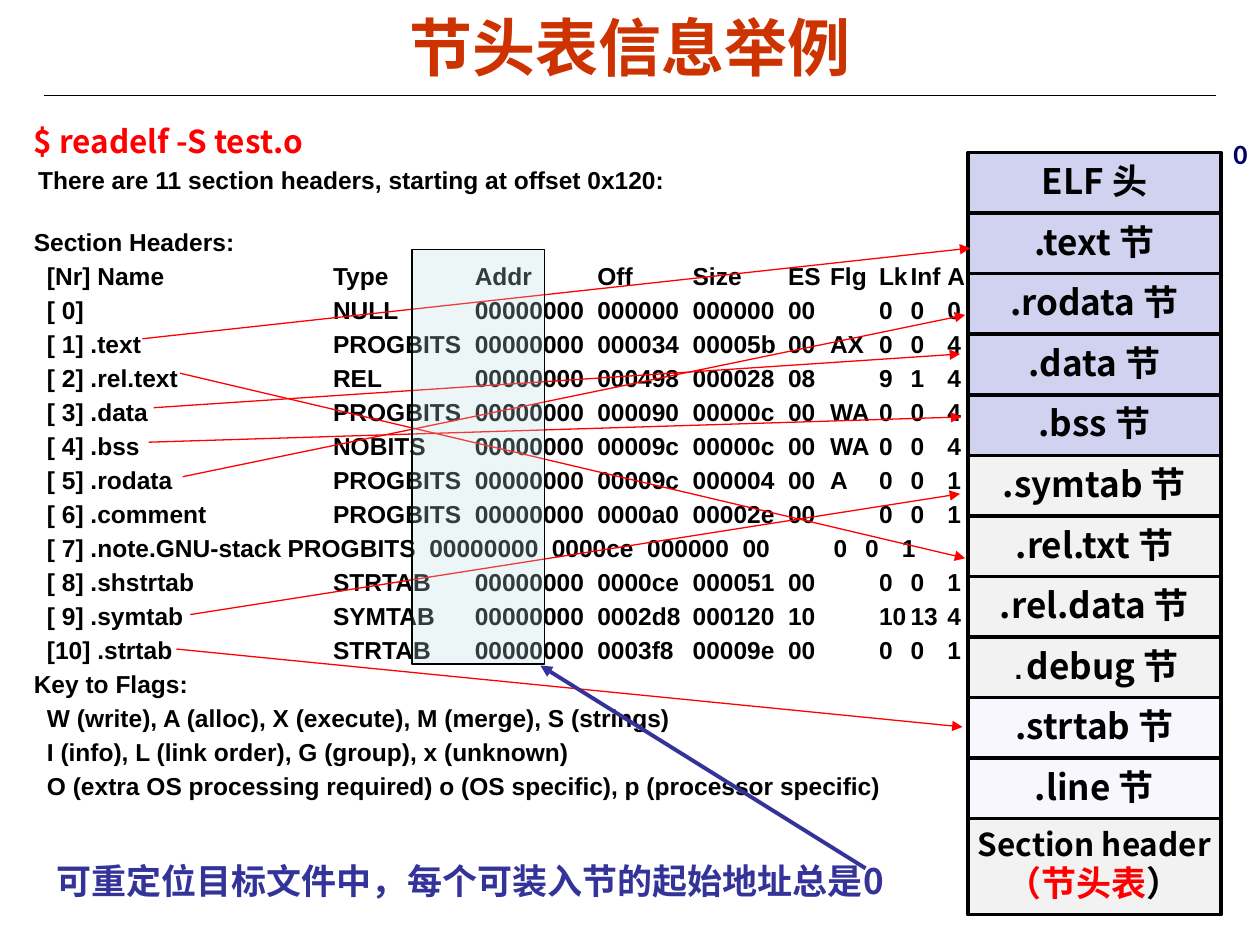
from dataclasses import dataclass

from lxml import etree
from pptx import Presentation
from pptx.dml.color import RGBColor
from pptx.enum import shapes, text
from pptx.oxml import ns
from pptx.util import Pt


@dataclass(frozen=True)
class Theme:
    """Colours, fonts and type sizes of the slide."""
    black: str = "000000"
    title: str = "CC3300"
    red: str = "FF0000"
    blue: str = "333399"
    navy: str = "000066"
    loaded: str = "D1D1F0"
    plain: str = "F2F2F2"
    pale: str = "D6D6F5"
    highlight: str = "BBE0E3"
    sans: str = "Arial"
    cjk: str = "Noto Sans CJK SC"
    mono: str = "Courier New"
    digit: str = "Calibri"
    heading: int = 36
    large: int = 20
    command: int = 18
    small: int = 16
    body: int = 14


@dataclass(frozen=True)
class Box:
    """A rectangle in points."""
    left: float
    top: float
    width: float
    height: float

    def lengths(self):
        """Return the four lengths for python-pptx."""
        return Pt(self.left), Pt(self.top), Pt(self.width), Pt(self.height)


THEME = Theme()
COLUMN_STOPS = (7.5, 171, 252, 322, 376.5, 431, 455, 483, 501, 522)
LONG_NAME_SHIFT = -26
SECTION_ROWS = (
    "[Nr] Name|Type|Addr|Off|Size|ES|Flg|Lk|Inf|Al",
    "[ 0]|NULL|00000000|000000|000000|00||0|0|0",
    "[ 1] .text|PROGBITS|00000000|000034|00005b|00|AX|0|0|4",
    "[ 2] .rel.text|REL|00000000|000498|000028|08||9|1|4",
    "[ 3] .data|PROGBITS|00000000|000090|00000c|00|WA|0|0|4",
    "[ 4] .bss|NOBITS|00000000|00009c|00000c|00|WA|0|0|4",
    "[ 5] .rodata|PROGBITS|00000000|00009c|000004|00|A|0|0|1",
    "[ 6] .comment|PROGBITS|00000000|0000a0|00002e|00||0|0|1",
    "[ 7] .note.GNU-stack|PROGBITS|00000000|0000ce|000000|00||0|0|1",
    "[ 8] .shstrtab|STRTAB|00000000|0000ce|000051|00||0|0|1",
    "[ 9] .symtab|SYMTAB|00000000|0002d8|000120|10||10|13|4",
    "[10] .strtab|STRTAB|00000000|0003f8|00009e|00||0|0|1",
)
FLAG_KEYS = (
    "W (write), A (alloc), X (execute), M (merge), S (strings)",
    "I (info), L (link order), G (group), x (unknown)",
    "O (extra OS processing required) o (OS specific), p (processor specific)",
)
LOADED = ("ELF 头", ".text 节", ".rodata 节", ".data 节", ".bss 节")
UNLOADED = (".symtab 节", ".rel.txt 节", ".rel.data 节", ".debug 节")
TRAILING = (".strtab 节", ".line 节")
SECTION_ARROWS = (
    (1, 69.1, 542.2, 74.1), (2, 90.7, 539.3, 251.3), (3, 75.6, 536.4, 134.6),
    (4, 72.7, 537.1, 170.6), (5, 92.2, 539.3, 112.3), (9, 96.5, 536.4, 214.5),
    (10, 88.6, 537.8, 347.7),
)


def assign(target, values):
    """Set each attribute named in a dict."""
    for name, value in values.items():
        setattr(target, name, value)


def add_run(paragraph, wording, size, color, font=THEME.cjk):
    """Append a bold run in one font for all scripts."""
    run = paragraph.add_run()
    run.text = wording
    assign(run.font, {"size": Pt(size), "bold": True, "name": font})
    run.font.color.rgb = RGBColor.from_string(color)
    east_asian = etree.SubElement(run._r.get_or_add_rPr(), ns.qn("a:ea"))
    east_asian.set("typeface", THEME.cjk)


def add_text_box(slide, box, wrap=True):
    """Add an empty text box and return its frame."""
    frame = slide.shapes.add_textbox(*box.lengths()).text_frame
    frame.word_wrap = wrap
    return frame


def add_rectangle(slide, box, fill, line_width, opacity=100):
    """Add a black-edged rectangle, translucent when asked."""
    shape = slide.shapes.add_shape(shapes.MSO_SHAPE.RECTANGLE, *box.lengths())
    shape.shadow.inherit = False
    shape.fill.solid()
    shape.fill.fore_color.rgb = RGBColor.from_string(fill)
    shape.line.color.rgb = RGBColor.from_string(THEME.black)
    shape.line.width = Pt(line_width)
    if opacity < 100:
        color = shape._element.spPr.find(".//" + ns.qn("a:srgbClr"))
        etree.SubElement(color, ns.qn("a:alpha")).set("val", str(opacity * 1000))
    return shape


def add_line(slide, start, end, color, width, arrow=True):
    """Draw a straight line, with an arrowhead at its end when asked."""
    line = slide.shapes.add_connector(
        shapes.MSO_CONNECTOR.STRAIGHT, *map(Pt, start + end))
    line.line.color.rgb = RGBColor.from_string(color)
    line.line.width = Pt(width)
    if arrow:
        head = etree.SubElement(line.line._get_or_add_ln(), ns.qn("a:tailEnd"))
        head.set("type", "triangle")
    etree.SubElement(line._element.spPr, ns.qn("a:effectLst"))


def set_tabs(paragraph, stops):
    """Give a paragraph left-aligned tab stops."""
    tabs = etree.SubElement(paragraph._p.get_or_add_pPr(), ns.qn("a:tabLst"))
    for stop in stops:
        tab = etree.SubElement(tabs, ns.qn("a:tab"))
        tab.set("pos", str(int(Pt(stop))))
        tab.set("algn", "l")


def place_title(slide, box):
    """Place the title and the rule below it."""
    title = slide.shapes.title
    assign(title, dict(zip(("left", "top", "width", "height"), box.lengths())))
    frame = title.text_frame
    frame.vertical_anchor = text.MSO_ANCHOR.MIDDLE
    paragraph = frame.paragraphs[0]
    paragraph.alignment = text.PP_ALIGN.CENTER
    add_run(paragraph, "节头表信息举例", THEME.heading, THEME.title, THEME.sans)
    rule = box.top + box.height + 6.5
    add_line(slide, (box.left - 10.8, rule), (box.left + box.width + 10.8, rule),
             THEME.black, 0.75, arrow=False)


def place_listing(slide, box):
    """Place the command with its section table and flag key."""
    frame = add_text_box(slide, box)
    command = frame.paragraphs[0]
    command.line_spacing = 0.95
    add_run(command, "$ readelf -S test.o", THEME.command, THEME.red)

    def add_entry(wording, before=3.5, stops=COLUMN_STOPS):
        """Append one line of the listing."""
        paragraph = frame.add_paragraph()
        assign(paragraph, {"line_spacing": 0.95, "space_before": Pt(before)})
        set_tabs(paragraph, stops)
        add_run(paragraph, wording, THEME.body, THEME.black, THEME.sans)

    add_entry("\tThere are 11 section headers, starting at offset 0x120:", stops=(2.5,))
    add_entry("Section Headers:", before=19.5)
    for row in SECTION_ROWS:
        shift = LONG_NAME_SHIFT if ".note" in row else 0
        first, *others = COLUMN_STOPS
        add_entry("\t" + row.replace("|", "\t"),
                  stops=[first] + [stop + shift for stop in others])
    add_entry("Key to Flags:")
    for key in FLAG_KEYS:
        add_entry("\t" + key)


def place_sections(slide, box):
    """Stack the sections of the object file, with the offset at the top."""
    pitch = 34.6
    styles = ([(name, THEME.loaded, 100) for name in LOADED]
              + [(name, THEME.plain, 100) for name in UNLOADED]
              + [(name, THEME.pale, 19) for name in TRAILING]
              + [("Section header", THEME.plain, 100)])
    for index, (name, fill, opacity) in enumerate(styles):
        last = index == len(styles) - 1
        top = index * pitch
        height = box.height - top if last else pitch
        shape = add_rectangle(
            slide, Box(box.left, box.top + top, box.width, height), fill, 2, opacity)
        frame = shape.text_frame
        assign(frame, {"word_wrap": False, "vertical_anchor": text.MSO_ANCHOR.MIDDLE})
        paragraph = frame.paragraphs[0]
        assign(paragraph, {"alignment": text.PP_ALIGN.CENTER, "line_spacing": 0.94})
        if name.startswith(".debug"):
            add_run(paragraph, ".", THEME.small, THEME.black, THEME.mono)
            name = name[1:]
        add_run(paragraph, name, THEME.command if last else THEME.large, THEME.black)
    caption = frame.add_paragraph()
    assign(caption, {"alignment": text.PP_ALIGN.CENTER, "line_spacing": 0.98})
    add_run(caption, "（节头表", THEME.large, THEME.red)
    add_run(caption, "）", THEME.large, THEME.black)
    offset = Box(box.left + box.width, box.top - 12.6, 22.3, 25.9)
    add_run(add_text_box(slide, offset, wrap=False).paragraphs[0],
            "0", THEME.small, THEME.navy, THEME.digit)


def place_arrows(slide, box):
    """Link rows of the listing to their sections."""
    for row, start, end, end_top in SECTION_ARROWS:
        add_line(slide, (box.left + start, box.top + 106.2 + 19.7 * row),
                 (box.left + end, box.top + end_top), THEME.red, 0.75)


def place_address_note(slide, box):
    """Highlight the address column and explain it."""
    add_rectangle(slide, box, THEME.highlight, 0.75, 27)
    note = Box(box.left - 210.2, box.top + 345, 490.3, 55.4)
    add_run(add_text_box(slide, note).paragraphs[0],
            "可重定位目标文件中，每个可装入节的起始地址总是0", THEME.large, THEME.blue)
    add_line(slide, (note.left + 469.4, note.top + 8.6),
             (box.left + box.width - 2.2, box.top + box.height + 0.8), THEME.blue, 2.25)


def main():
    """Build and save the slide."""
    presentation = Presentation()
    assign(presentation, {"slide_width": Pt(720), "slide_height": Pt(540)})
    slide = presentation.slides.add_slide(presentation.slide_layouts[5])
    listing = Box(12.24, 67.7, 648, 435.6)
    place_title(slide, Box(36, 4.3, 648, 43.9))
    place_listing(slide, listing)
    place_sections(slide, Box(553, 87.2, 144.7, 435.5))
    place_arrows(slide, listing)
    place_address_note(slide, Box(235.4, 142.6, 75.6, 236.9))
    presentation.save("out.pptx")


if __name__ == "__main__":
    main()
